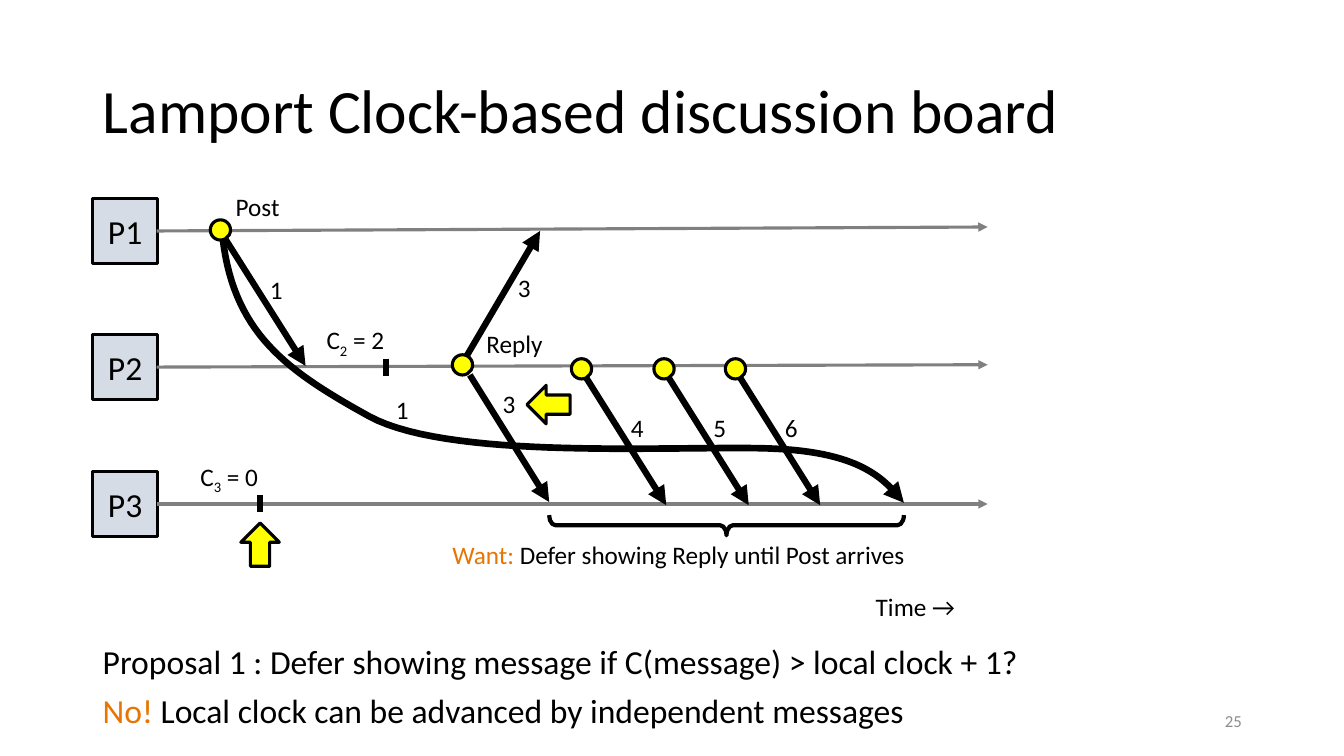
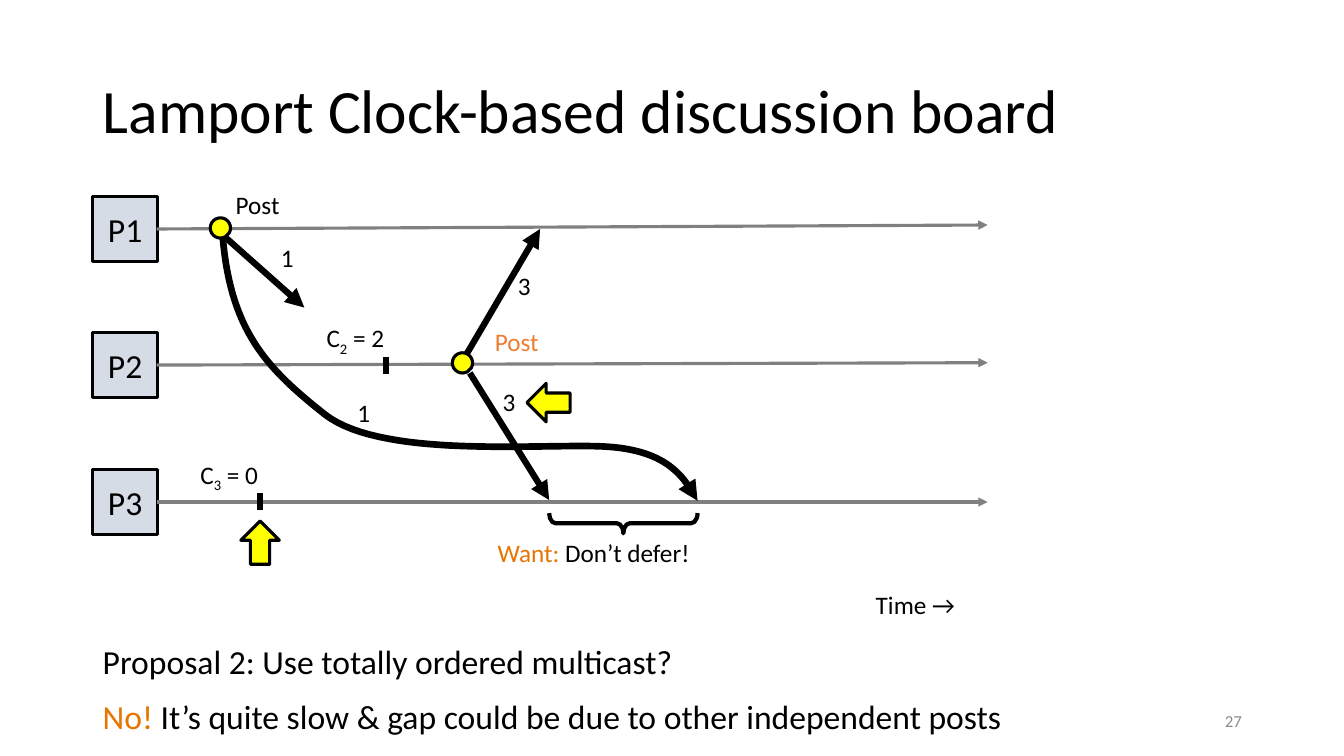
from lxml.etree import SubElement
from pptx import Presentation
from pptx.dml.color import RGBColor
from pptx.enum.shapes import MSO_CONNECTOR, MSO_SHAPE
from pptx.enum.text import MSO_ANCHOR, PP_ALIGN
from pptx.oxml.ns import qn
from pptx.util import Cm, Pt

BLACK = RGBColor(0x00, 0x00, 0x00)
GRAY = RGBColor(0x80, 0x80, 0x80)
PALE_GRAY = RGBColor(0x8C, 0x8C, 0x8C)
BLUE_GRAY = RGBColor(0xD6, 0xDC, 0xE5)
YELLOW = RGBColor(0xFF, 0xFF, 0x00)
ORANGE = RGBColor(0xE7, 0x75, 0x00)
LIGHT_ORANGE = RGBColor(0xED, 0x7D, 0x31)

# Cubic curve of the slow post: share of the width, height on the slide
SLOW_CURVE = [(0, 5.97), (0.016, 8.41), (0.095, 9.35), (0.215, 10.49),
              (0.334, 11.61), (0.663, 11.23), (0.8, 11.3),
              (0.938, 11.38), (0.971, 12.07), (1, 12.67)]
SLOW_START = 5.61
CURVE_STEPS = 30


def write(frame, spans, size=18, color=BLACK, align=PP_ALIGN.LEFT,
          anchor=MSO_ANCHOR.TOP, wrap=False, spacing=None):
    """Fill a frame with one paragraph; a span is text or (text, format)."""
    frame.word_wrap = wrap
    frame.vertical_anchor = anchor
    para = frame.paragraphs[0]
    para.alignment = align
    if spacing:
        para.line_spacing = spacing
    for item in [spans] if isinstance(spans, str) else spans:
        text, extra = (item, {}) if isinstance(item, str) else item
        span = para.add_run()
        span.text = text
        span.font.name = "Calibri"
        span.font.size = Pt(size)
        span.font.color.rgb = extra.get("color", color)
        if "baseline" in extra:
            span._r.get_or_add_rPr().set("baseline", str(extra["baseline"]))


class Board:
    """Holds the deck, the current slide and the style of its elements."""

    def __init__(self):
        self.deck = Presentation()
        self.deck.slide_width, self.deck.slide_height = Cm(33.87), Cm(19.05)
        self.shapes = None
        self.shift = 0

    def new_slide(self, title, number):
        self.shapes = self.deck.slides.add_slide(self.deck.slide_layouts[6]).shapes
        self.shift = 0
        self.text(23.93, 17.65, 7.62, str(number), height=1.02, size=12,
                  color=PALE_GRAY, align=PP_ALIGN.RIGHT,
                  anchor=MSO_ANCHOR.MIDDLE, wrap=True)
        self.text(2.34, 1.02, 29.21, title, height=3.68, size=44,
                  anchor=MSO_ANCHOR.MIDDLE, wrap=True, spacing=0.9)

    def down(self, y):
        return Cm(y + self.shift)

    def text(self, x, y, width, spans, height=1.02, **style):
        box = self.shapes.add_textbox(Cm(x), self.down(y), Cm(width), Cm(height))
        write(box.text_frame, spans, **style)

    def digit(self, x, y, value):
        self.text(x, y, 0.86, str(value))

    def stroke(self, line, color, width, arrow):
        line.color.rgb = color
        line.width = Pt(width)
        if arrow:
            SubElement(line._get_or_add_ln(), qn("a:tailEnd"), type="triangle")

    def line(self, start, end, color=BLACK, width=4.5, arrow=True):
        line = self.shapes.add_connector(
            MSO_CONNECTOR.STRAIGHT, Cm(start[0]), self.down(start[1]),
            Cm(end[0]), self.down(end[1]))
        self.stroke(line.line, color, width, arrow)
        SubElement(line.element.spPr, qn("a:effectLst"))

    def shape(self, kind, x, y, width, height, fill=None, weight=2.25, turn=0):
        shape = self.shapes.add_shape(kind, Cm(x), self.down(y), Cm(width), Cm(height))
        shape.shadow.inherit = False
        shape.rotation = turn
        if fill is None:
            shape.fill.background()
        else:
            shape.fill.solid()
            shape.fill.fore_color.rgb = fill
        self.stroke(shape.line, BLACK, weight, False)
        return shape

    def process(self, name, y, line_start, line_end):
        box = self.shape(MSO_SHAPE.FLOWCHART_PROCESS, 2.34, y, 1.63, 1.63, BLUE_GRAY)
        write(box.text_frame, name, size=24, align=PP_ALIGN.CENTER,
              anchor=MSO_ANCHOR.MIDDLE)
        self.line((3.95, line_start), (24.89, line_end), GRAY, 2.25)

    def event(self, x, y):
        self.shape(MSO_SHAPE.OVAL, x - 0.26, y - 0.26, 0.51, 0.51, YELLOW)

    def clock(self, x, y, process, value):
        self.text(x - 1.75, y - 0.98, 2.01,
                  ["C", (str(process), {"baseline": -25000}), f" = {value}"])
        self.line((x, y), (x, y + 0.44), arrow=False)

    def pointer(self, x, y, turn=0):
        self.shape(MSO_SHAPE.UP_ARROW, x, y, 0.97, 1.09, YELLOW, turn=turn)

    def brace(self, left, right, y, depth=0.51):
        span = right - left
        brace = self.shape(MSO_SHAPE.LEFT_BRACE, (left + right - depth) / 2,
                           y + (depth - span) / 2, depth, span, weight=3, turn=270)
        brace.adjustments[0] = 0.317

    def slow_message(self, end):
        points = [(SLOW_START + share * (end - SLOW_START), y)
                  for share, y in SLOW_CURVE]
        outline = []
        for first in range(0, len(points) - 1, 3):
            corners = points[first:first + 4]
            for step in range(1, CURVE_STEPS + 1):
                t = step / CURVE_STEPS
                weights = ((1 - t) ** 3, 3 * t * (1 - t) ** 2, 3 * t * t * (1 - t), t ** 3)
                x, y = (sum(w * c[axis] for w, c in zip(weights, corners))
                        for axis in (0, 1))
                outline.append((Cm(x), self.down(y)))
        builder = self.shapes.build_freeform(Cm(points[0][0]), self.down(points[0][1]))
        builder.add_line_segments(outline, close=False)
        curve = builder.convert_to_shape()
        curve.shadow.inherit = False
        curve.fill.background()
        self.stroke(curve.line, BLACK, 4.75, True)

    def diagram(self, shift, reply, reply_x, reply_color, first_end,
                first_labels, slow_end, want, want_x, want_width):
        """Draw the time lines, the first post and the reply to it."""
        self.shift = shift
        for index, ends in enumerate([(5.82, 5.72), (9.25, 9.19), (12.7, 12.7)]):
            self.process(f"P{index + 1}", 5 + 3.44 * index, *ends)
        self.text(21.82, 14.78, 2.59, "Time →")
        self.clock(9.73, 9.04, 2, 2)
        self.clock(6.55, 12.47, 3, 0)

        # Reply and its two messages
        self.event(11.66, 9.2)
        self.line((11.84, 9.45), (13.84, 12.65))
        self.line((11.76, 8.97), (13.61, 5.82))
        self.text(reply_x, 8.15, 1.96, reply, color=reply_color)
        self.digit(12.42, 9.65, 3)
        self.digit(12.8, 6.73, 3)

        # First post and its two messages
        self.line((5.69, 6.04), first_end)
        self.slow_message(slow_end)
        self.text(5.69, 4.7, 1.63, "Post")
        self.event(5.56, 5.8)
        for x, y in first_labels:
            self.digit(x, y, 1)

        # Wanted behaviour and pointers
        self.brace(13.84, slow_end, 12.98)
        self.text(want_x, 13.46, want_width, [("Want: ", {"color": ORANGE}), want])
        self.pointer(13.34, 9.65, turn=270)
        self.pointer(6.07, 13.18)

    def later_message(self, x, value):
        self.digit(x + 0.99, 10.26, value)
        self.line((x + 0.12, 9.53), (x + 2.13, 12.73))
        self.event(x, 9.3)

    def proposal(self, question, answer, answer_y):
        self.shift = 0
        self.text(2.34, 16.03, 29, question, height=1.27, size=24, wrap=True)
        self.text(2.34, answer_y, 29, [("No! ", {"color": ORANGE}), answer],
                  height=1.27, size=24, wrap=True)


def main():
    board = Board()
    title = "Lamport Clock-based discussion board"

    # Proposal 1
    board.new_slide(title, 25)
    board.diagram(0, "Reply", 12.01, BLACK, (7.7, 9.22),
                  [(6.55, 6.78), (9.73, 9.8)], 22.78,
                  "Defer showing Reply until Post arrives", 11.15, 11.95)
    for x, value in [(14.66, 4), (16.74, 5), (18.54, 6)]:
        board.later_message(x, value)
    board.proposal(
        "Proposal 1 : Defer showing message if C(message) > local clock + 1?",
        "Local clock can be advanced by independent messages", 17.25)

    # Proposal 2
    board.new_slide(title, 27)
    board.diagram(-0.05, "Post", 12.22, LIGHT_ORANGE, (7.67, 7.8),
                  [(6.83, 6.04), (8.76, 9.93)], 17.58,
                  "Don’t defer!", 12.29, 5.41)
    board.proposal(
        "Proposal 2: Use totally ordered multicast?",
        "It’s quite slow & gap could be due to other independent posts", 17.4)

    board.deck.save("out.pptx")


if __name__ == "__main__":
    main()
